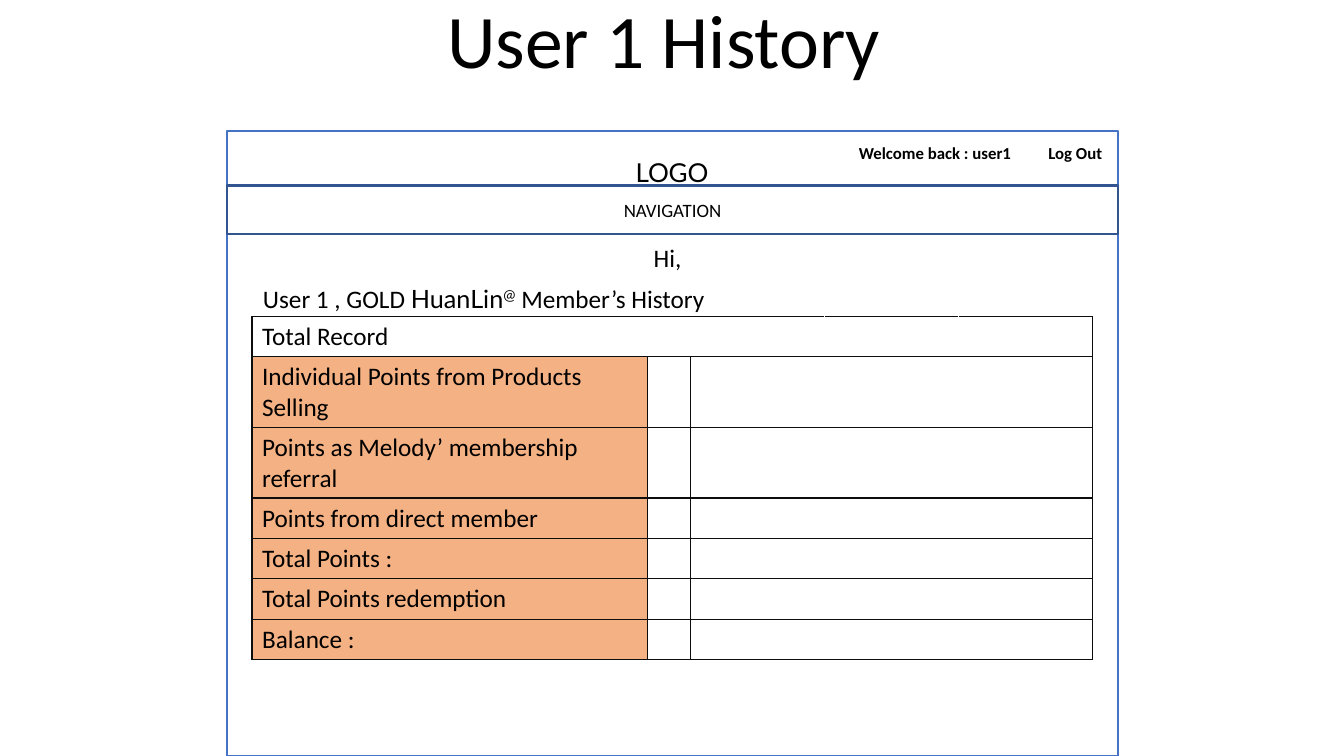
import pptx
import pptx.chart.data
import pptx.dml.color
import pptx.enum.shapes
import pptx.enum.text
import pptx.oxml
import pptx.oxml.ns
import pptx.util

IN, PT = pptx.util.Inches, pptx.util.Pt
ALIGN, ANCHOR = pptx.enum.text.PP_ALIGN, pptx.enum.text.MSO_ANCHOR
BLACK, BORDER, LABEL_FILL = "000000", "0D0D0D", "F4B183"

# A run is (text, size, font, bold, baseline in percent)
TITLE = [("User 1 History ", 54, "Calibri", False, 0)]
LOGO = [("LOGO", 32, "Lato", False, 30)]
NAVIGATION = [("NAVIGATION", 13.5, "Calibri", False, 0)]
ACCOUNT = [("Welcome back : user1\tLog Out", 12, "Calibri", True, 0)]
GREETING = [("Hi, ", 18, "Calibri", False, 0)]
HISTORY = [
    ("User 1 , GOLD ", 18, "Calibri", False, 0),
    ("HuanLin", 18, "Lato", False, 0),
    ("@", 18, "Lato", False, 30),
    (" Member’s History", 18, "Calibri", False, 0),
]
RECORDS = [
    "Total Record",
    "Individual Points from Products Selling",
    "Points as Melody’ membership referral",
    "Points from direct member",
    "Total Points :",
    "Total Points redemption",
    "Balance :",
]
COLUMNS = [3.92, 0.43, 1.33, 1.33, 1.33]
ROWS = [0.4, 0.7, 0.7, 0.4, 0.4, 0.4, 0.4]
PAGE_LEFT, PAGE_TOP, PAGE_WIDTH, PAGE_HEIGHT = 2.25, 1.3, 8.84, 6.2


def color(hex_value):
    return pptx.dml.color.RGBColor.from_string(hex_value)


def write(tf, runs, align=ALIGN.LEFT):
    p = tf.paragraphs[0]
    p.alignment = align
    for text, size, font, bold, baseline in runs:
        r = p.add_run()
        r.text = text
        r.font.size, r.font.name, r.font.bold = PT(size), font, bold
        r.font.color.rgb = color(BLACK)
        if baseline:
            r.font._element.set("baseline", str(baseline * 1000))
    return p


def set_insets(tf):
    tf.margin_left = tf.margin_right = IN(0.07)
    tf.margin_top = tf.margin_bottom = IN(0.04)


def add_text(s, box, runs, align=ALIGN.LEFT, wrap=True):
    tf = s.shapes.add_textbox(*map(IN, box)).text_frame
    tf.word_wrap = wrap
    write(tf, runs, align)
    return tf


def add_box(s, box, line, width, fill=None):
    sp = s.shapes.add_shape(pptx.enum.shapes.MSO_SHAPE.RECTANGLE, *map(IN, box))
    sp.shadow.inherit = False
    if fill:
        sp.fill.solid()
        sp.fill.fore_color.rgb = color(fill)
    else:
        sp.fill.background()
    sp.line.color.rgb, sp.line.width = color(line), PT(width)
    return sp


def set_borders(cell, sides):
    """Draw the sides named by L, R, T and B, in that order."""
    for side in sides:
        cell._tc.get_or_add_tcPr().append(pptx.oxml.parse_xml(
            f'<a:ln{side} {pptx.oxml.ns.nsdecls("a")} w="12700"><a:solidFill>'
            f'<a:srgbClr val="{BORDER}"/></a:solidFill></a:ln{side}>'))


def add_records(s, left, top):
    frame = s.shapes.add_table(len(ROWS), len(COLUMNS), IN(left), IN(top),
                               IN(sum(COLUMNS)), IN(sum(ROWS)))
    table = frame.table
    table.first_row = table.horz_banding = False
    for column, width in zip(table.columns, COLUMNS):
        column.width = IN(width)
    last = len(COLUMNS) - 1
    for i, (label, height) in enumerate(zip(RECORDS, ROWS)):
        table.rows[i].height = IN(height)
        for j in range(len(COLUMNS)):
            cell = table.cell(i, j)
            left_side = "L" if j == 0 or (i and j <= 2) else ""
            right_side = "R" if j == last or (i and j < 2) else ""
            set_borders(cell, left_side + right_side + "TB")
            if i and j == 0:
                cell.fill.solid()
                cell.fill.fore_color.rgb = color(LABEL_FILL)
            else:
                cell.fill.background()
        write(table.cell(i, 0).text_frame, [(label, 18, "Calibri", False, 0)])
    table.cell(0, 0).merge(table.cell(0, 2))


def main():
    prs = pptx.Presentation()
    prs.slide_width, prs.slide_height = IN(13.33), IN(7.5)
    s = prs.slides.add_slide(prs.slide_layouts[5])

    title = s.shapes.title
    title.left, title.top, title.width, title.height = map(IN, (2.92, 0.12, 7.5, 0.77))
    tf = title.text_frame
    tf.auto_size = pptx.enum.text.MSO_AUTO_SIZE.NONE
    tf.vertical_anchor = ANCHOR.BOTTOM
    write(tf, TITLE, ALIGN.CENTER).line_spacing = 0.9

    add_box(s, (PAGE_LEFT, PAGE_TOP, PAGE_WIDTH, PAGE_HEIGHT), "4472C4", 1, "FFFFFF")
    set_insets(add_text(s, (6.19, 1.46, 0.95, 0.43), LOGO, ALIGN.CENTER, wrap=False))

    tf = add_box(s, (PAGE_LEFT, 1.84, PAGE_WIDTH, 0.48), "325491", 1.75).text_frame
    set_insets(tf)
    tf.vertical_anchor = ANCHOR.MIDDLE
    write(tf, NAVIGATION, ALIGN.CENTER)

    tf = add_text(s, (8.42, 1.37, 2.67, 0.3), ACCOUNT)
    tf.paragraphs[0]._p.get_or_add_pPr().append(pptx.oxml.parse_xml(
        f'<a:tabLst {pptx.oxml.ns.nsdecls("a")}>'
        f'<a:tab pos="{IN(1.88)}" algn="l"/></a:tabLst>'))
    add_text(s, (2.21, 2.35, 8.88, 0.4), GREETING, ALIGN.CENTER)
    add_text(s, (2.51, 2.76, 8.19, 0.4), HISTORY)
    add_records(s, 2.5, 3.14)
    prs.save("out.pptx")


if __name__ == "__main__":
    main()
